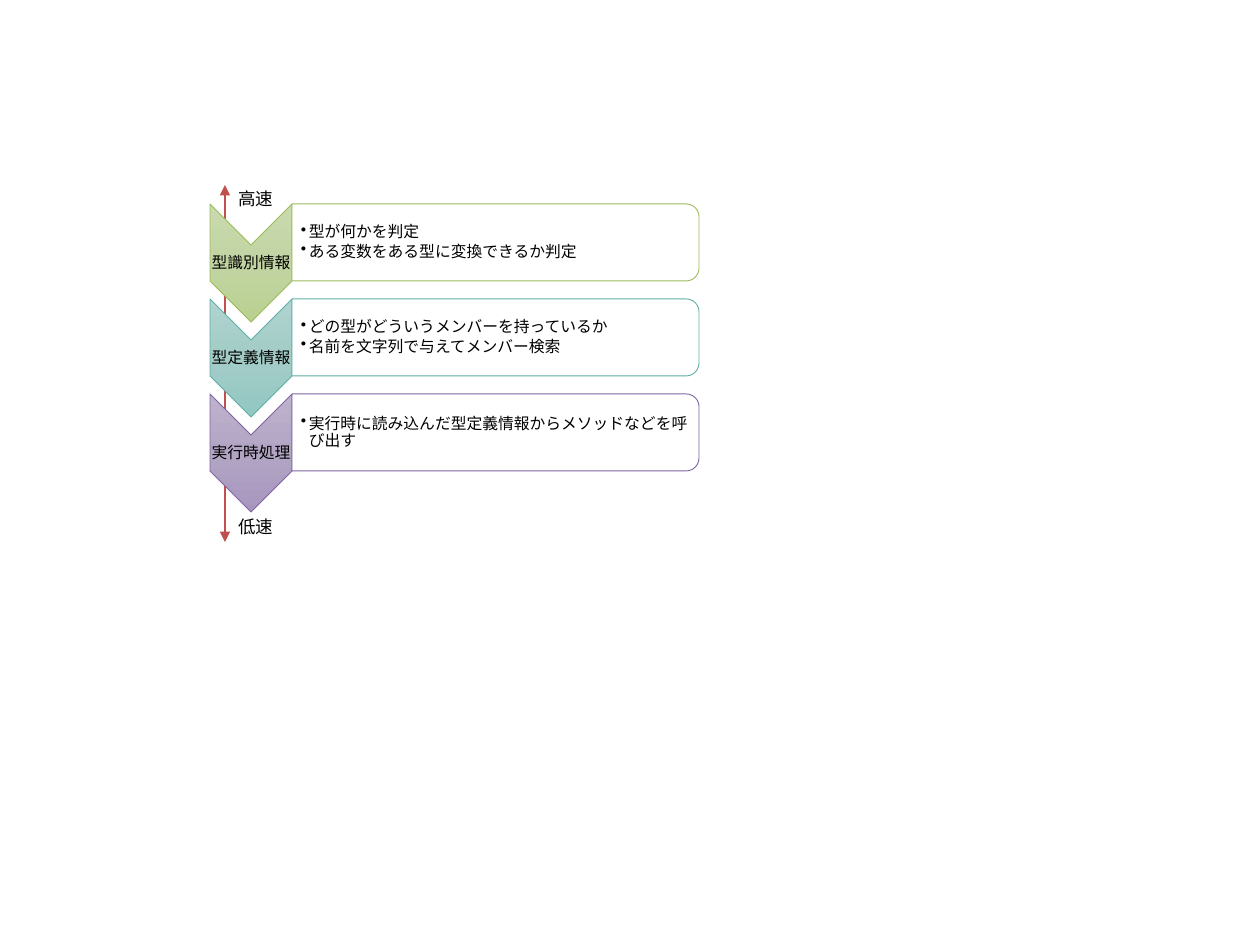
from lxml import etree
from pptx import Presentation
from pptx.dml.color import RGBColor
from pptx.enum.shapes import MSO_CONNECTOR, MSO_SHAPE
from pptx.enum.text import MSO_ANCHOR, MSO_AUTO_SIZE, PP_ALIGN
from pptx.oxml import parse_xml
from pptx.oxml.ns import nsdecls, qn
from pptx.util import Pt

CHEVRON = MSO_SHAPE.CHEVRON
ROUND_TWO = MSO_SHAPE.ROUND_2_SAME_RECTANGLE
STRAIGHT = MSO_CONNECTOR.STRAIGHT
TOP, MIDDLE = MSO_ANCHOR.TOP, MSO_ANCHOR.MIDDLE
LEFT, CENTER = PP_ALIGN.LEFT, PP_ALIGN.CENTER
GROW, FIXED = MSO_AUTO_SIZE.SHAPE_TO_FIT_TEXT, MSO_AUTO_SIZE.NONE

PX = 914400 // 126
THEME = {
    "font": "Calibri",
    "body": 9,
    "label": 10,
    "text": "000000",
    "panel": "FFFFFF",
    "arrow": "C0504D",
    "green": ("9BBB59", ("CADAAF", "C1D4A2", "B9D091")),
    "teal": ("5EAFA6", ("B0D4CF", "A3CCC7", "93C7C1")),
    "purple": ("8064A2", ("BDB2CD", "B2A5C4", "A796BE")),
}
STAGES = [
    ("型識別情報", "green", ["型が何かを判定", "ある変数をある型に変換できるか判定"]),
    ("型定義情報", "teal", ["どの型がどういうメンバーを持っているか", "名前を文字列で与えてメンバー検索"]),
    ("実行時処理", "purple", ["実行時に読み込んだ型定義情報からメソッドなどを呼び出す"]),
]
STAGE_TOP, STAGE_PITCH = 204, 95
STAGE_LEFT, CHEVRON_WIDTH, CHEVRON_HEIGHT = 210, 82, 118
PANEL_WIDTH, PANEL_HEIGHT = 407, 77


def add_text(shapes, lines, left, top, width, height, *, size=THEME["body"], align=LEFT,
             anchor=MIDDLE, inset=1, left_inset=1, bullet=False, wrap=True,
             autofit=FIXED, spacing=None, after=None):
    box = shapes.add_textbox(left * PX, top * PX, width * PX, height * PX)
    frame = box.text_frame
    frame.word_wrap, frame.auto_size, frame.vertical_anchor = wrap, autofit, anchor
    frame.margin_left = left_inset * PX
    frame.margin_top = frame.margin_right = frame.margin_bottom = inset * PX
    for index, line in enumerate(lines):
        paragraph = frame.add_paragraph() if index else frame.paragraphs[0]
        if bullet:
            paragraph.level = 1
            properties = paragraph._p.get_or_add_pPr()
            properties.set("marL", str(8 * PX))
            properties.set("indent", str(-8 * PX))
            etree.SubElement(properties, qn("a:buChar")).set("char", "•")
        paragraph.alignment = align
        paragraph.line_spacing = spacing
        paragraph.space_after = after
        run = paragraph.add_run()
        run.text = line
        run.font.name, run.font.size = THEME["font"], Pt(size)
        run.font.color.rgb = RGBColor.from_string(THEME["text"])


def add_turned_shape(shapes, kind, left, top, width, height, line_color):
    """Add a shape turned a quarter clockwise; the bounds are those seen after the turn."""
    offset = (width - height) / 2
    shape = shapes.add_shape(kind, int((left + offset) * PX), int((top - offset) * PX),
                             height * PX, width * PX)
    shape.rotation = 90
    shape.shadow.inherit = False
    shape.line.color.rgb = RGBColor.from_string(line_color)
    shape.line.width = Pt(0.5)
    return shape


presentation = Presentation()
presentation.slide_width, presentation.slide_height = 1260 * PX, 945 * PX
slide = presentation.slides.add_slide(presentation.slide_layouts[6])

# Speed axis behind the stages
axis = slide.shapes.add_connector(STRAIGHT, 225 * PX, 185 * PX, 225 * PX, 542 * PX)
axis.line.color.rgb = RGBColor.from_string(THEME["arrow"])
axis.line.width = Pt(1.5)
axis_line = axis.line._get_or_add_ln()
for end in ("a:headEnd", "a:tailEnd"):
    etree.SubElement(axis_line, qn(end)).set("type", "triangle")
etree.SubElement(axis._element.spPr, qn("a:effectLst"))

# Stages: chevron with its name, panel with its details
stages = slide.shapes.add_group_shape().shapes
panel_left = STAGE_LEFT + CHEVRON_WIDTH
for row, (name, color, details) in enumerate(STAGES):
    top = STAGE_TOP + row * STAGE_PITCH
    line_color, gradient = THEME[color]

    chevron = add_turned_shape(stages, CHEVRON, STAGE_LEFT, top,
                               CHEVRON_WIDTH, CHEVRON_HEIGHT, line_color)
    stops = "".join(f'<a:gs pos="{index * 50000}"><a:srgbClr val="{value}"/></a:gs>'
                    for index, value in enumerate(gradient))
    chevron._element.spPr.find(qn("a:prstGeom")).addnext(parse_xml(
        f'<a:gradFill {nsdecls("a")} rotWithShape="0"><a:gsLst>{stops}</a:gsLst>'
        '<a:lin ang="5400000" scaled="0"/></a:gradFill>'))
    add_text(stages, [name], STAGE_LEFT, top + 42, CHEVRON_WIDTH, 35,
             align=CENTER, spacing=0.9, after=Pt(3.15))

    panel = add_turned_shape(stages, ROUND_TWO, panel_left, top,
                             PANEL_WIDTH, PANEL_HEIGHT, line_color)
    panel.fill.solid()
    panel.fill.fore_color.rgb = RGBColor.from_string(THEME["panel"])
    panel_color = panel._element.spPr.find(qn("a:solidFill"))[0]
    etree.SubElement(panel_color, qn("a:alpha")).set("val", "90000")
    add_text(stages, details, panel_left, top + 4, PANEL_WIDTH - 4, PANEL_HEIGHT - 8,
             left_inset=9, bullet=True, spacing=0.9, after=Pt(1.35))

# Ends of the axis
for label, top in (("高速", 183), ("低速", 511)):
    add_text(slide.shapes, [label], 233, top, 45, 31, size=THEME["label"],
             anchor=TOP, inset=5, left_inset=5, wrap=False, autofit=GROW)

presentation.save("out.pptx")
